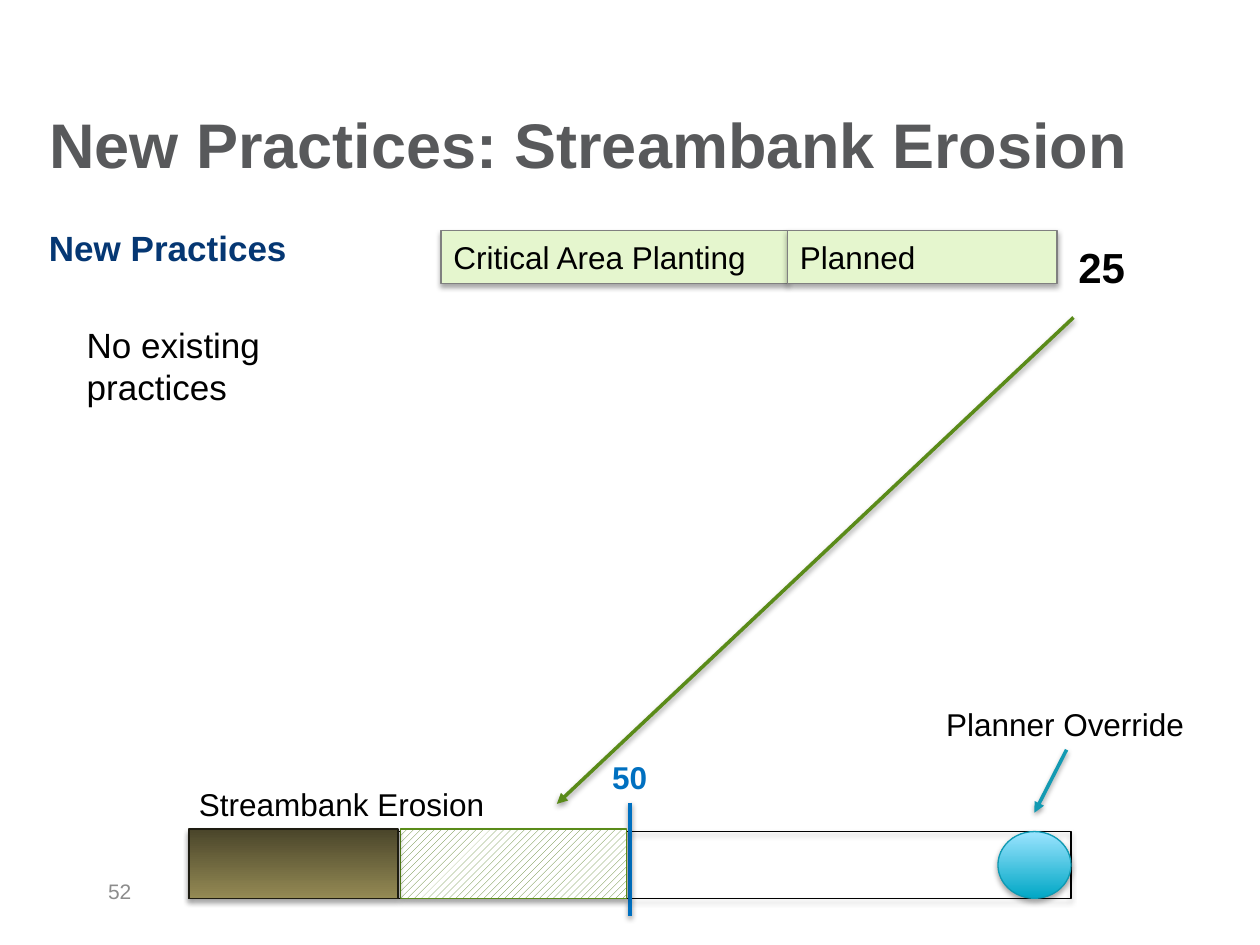
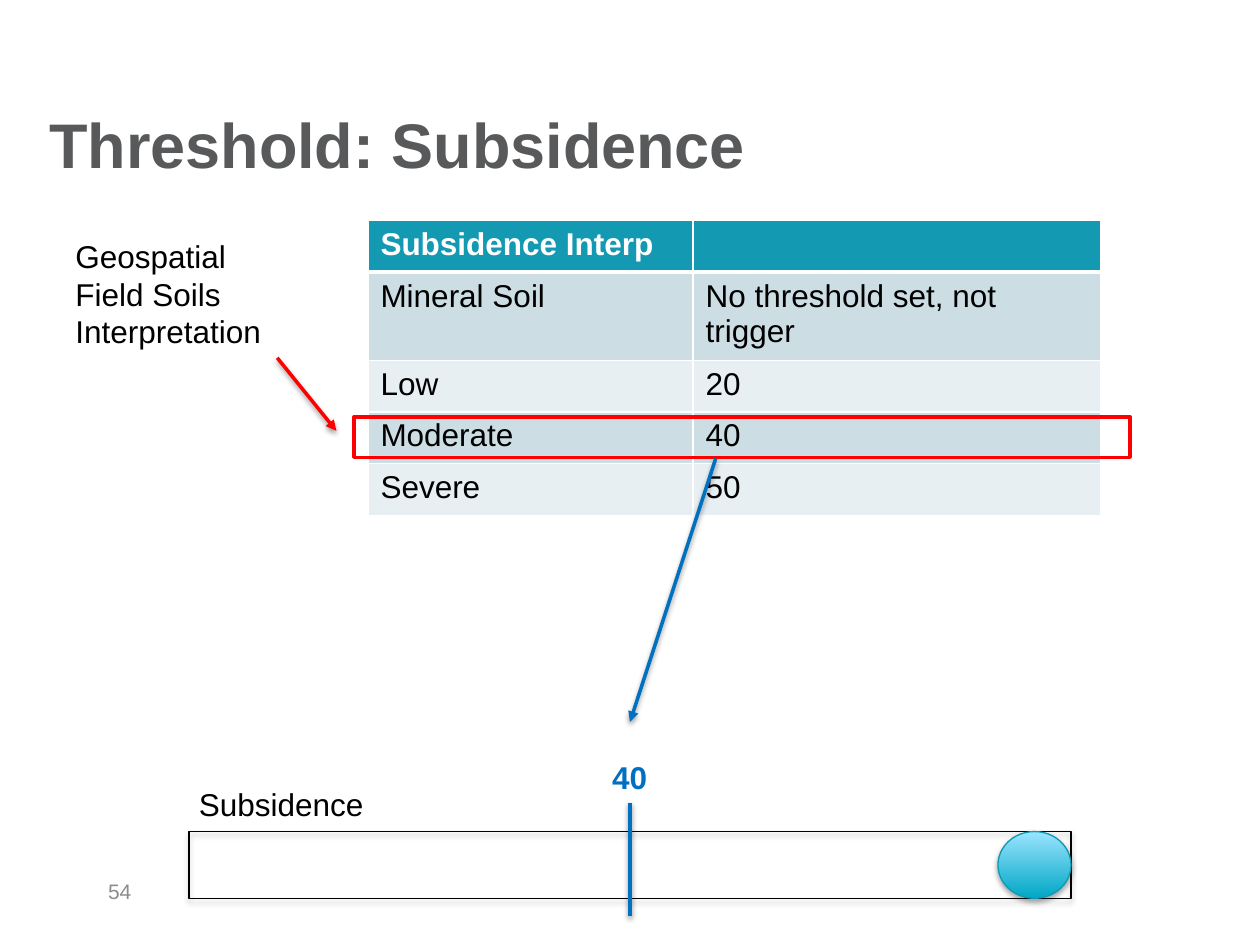
"""Build two slides on conservation thresholds and practices."""
from pptx import Presentation
from pptx.dml.color import RGBColor
from pptx.enum.dml import MSO_PATTERN
from pptx.enum.shapes import MSO_CONNECTOR, MSO_SHAPE
from pptx.enum.text import MSO_ANCHOR, MSO_AUTO_SIZE, PP_ALIGN
from pptx.oxml import parse_xml
from pptx.oxml.ns import nsdecls, qn
from pptx.util import Inches, Pt

RECT, OVAL = MSO_SHAPE.RECTANGLE, MSO_SHAPE.OVAL
LINE = MSO_CONNECTOR.STRAIGHT
HATCH = MSO_PATTERN.WIDE_UPWARD_DIAGONAL
LEFT, MIDDLE = PP_ALIGN.LEFT, MSO_ANCHOR.MIDDLE
GROW = MSO_AUTO_SIZE.SHAPE_TO_FIT_TEXT
FONT = "Arial"
BOTTOM = 2

COLORS = {
    "title": "58595B", "navy": "053773", "black": "000000", "white": "FFFFFF",
    "number": "8C8C8C", "gray": "808080", "lime": "E5F6CE", "green": "5A8B19",
    "hatch": "567F25", "blue": "0070C0", "red": "FF0000", "teal": "139AB2",
    "rim": "0F99B2", "aqua": "00A7C5", "sky": "9BE4FF", "tan": "948A54",
    "brown": "4A452A", "bark": "1E1C11", "band": "CCDEE4", "pale": "E7EFF2",
}


def rgb(name):
    return RGBColor.from_string(COLORS[name])


def write(frame, text, size=18, color="black", bold=False):
    para = frame.paragraphs[0]
    para.alignment = LEFT
    run = para.add_run()
    run.text = text
    font = run.font
    font.name, font.size, font.bold = FONT, Pt(size), bold
    font.color.rgb = rgb(color)


def place(shape, at):
    shape.left, shape.top, shape.width, shape.height = map(Inches, at)


def label(slide, at, text, size=18, color="black", bold=False, wrap=False):
    shape = slide.shapes.add_textbox(*map(Inches, at))
    frame = shape.text_frame
    frame.word_wrap = wrap
    frame.auto_size = GROW
    write(frame, text, size, color, bold)
    return shape


def shadow(shape, alpha, dist):
    shape.element.spPr.append(parse_xml(
        f'<a:effectLst {nsdecls("a")}><a:outerShdw blurRad="{Pt(3.1)}" '
        f'dist="{Pt(dist)}" dir="5400000" rotWithShape="0">'
        f'<a:srgbClr val="{COLORS["black"]}"><a:alpha val="{alpha * 1000}"/>'
        '</a:srgbClr></a:outerShdw></a:effectLst>'))


def block(slide, at, line, fill=None, text="", kind=RECT, width=0.75, cast=True):
    shape = slide.shapes.add_shape(kind, *map(Inches, at))
    if fill:
        shape.fill.solid()
        shape.fill.fore_color.rgb = rgb(fill)
    else:
        shape.fill.background()
    shape.line.color.rgb = rgb(line)
    shape.line.width = Pt(width)
    if cast:
        shadow(shape, 35, 1.8)
    else:
        shape.shadow.inherit = False
    if text:
        shape.text_frame.vertical_anchor = MIDDLE
        write(shape.text_frame, text)
    return shape


def shade(shape, low, high):
    shape.fill.gradient()
    shape.fill.gradient_angle = 90
    for stop, name in zip(shape.fill.gradient_stops, (low, high)):
        stop.color.rgb = rgb(name)


def link(slide, start, end, color, width=2, head=True, source=None):
    line = slide.shapes.add_connector(LINE, *map(Inches, start + end))
    line.line.color.rgb = rgb(color)
    line.line.width = Pt(width)
    if head:
        line.element.spPr.find(qn("a:ln")).append(
            parse_xml(f'<a:tailEnd {nsdecls("a")} type="triangle"/>'))
    shadow(line, 38, 1.6)
    if source:
        line.begin_connect(source, BOTTOM)


def gauge(slide, name, width, limit):
    block(slide, (1.5, 6.6, 7, 0.53), "black")
    label(slide, (1.48, 6.18, width, 0.4), name)
    mark = label(slide, (4.76, 5.97, 0.48, 0.4), limit, color="blue", bold=True)
    link(slide, (5, 6.38), (5, 7.27), "blue", 2.5, head=False, source=mark)
    knob = block(slide, (7.92, 6.6, 0.58, 0.53), "rim", kind=OVAL)
    shade(knob, "aqua", "sky")


def start(deck, title, number):
    slide = deck.slides.add_slide(deck.slide_layouts[5])
    head = slide.shapes.title
    place(head, (0.29, 0.62, 9, 1.03))
    head.text_frame.vertical_anchor = MIDDLE
    write(head.text_frame, title, 36, "title", True)
    foot = label(slide, (0.76, 6.87, 2.33, 0.4), number, 12, "number", wrap=True)
    foot.text_frame.auto_size = MSO_AUTO_SIZE.NONE
    foot.text_frame.vertical_anchor = MIDDLE
    return slide


def border(cell, row):
    widths = {"L": 1, "R": 1, "T": 3 if row == 1 else 1, "B": 3 if row == 0 else 1}
    props = cell._tc.get_or_add_tcPr()
    for side, width in widths.items():
        props.append(parse_xml(
            f'<a:ln{side} {nsdecls("a")} w="{Pt(width)}"><a:solidFill>'
            f'<a:srgbClr val="{COLORS["white"]}"/></a:solidFill></a:ln{side}>'))


def grid(slide, at, cols, rows):
    table = slide.shapes.add_table(len(rows), len(cols), *map(Inches, at)).table
    for col, width in zip(table.columns, cols):
        col.width = Inches(width)
    for i, row in enumerate(rows):
        fill = "teal" if i == 0 else "band" if i % 2 else "pale"
        for j, text in enumerate(row):
            cell = table.cell(i, j)
            border(cell, i)
            cell.fill.solid()
            cell.fill.fore_color.rgb = rgb(fill)
            if text:
                write(cell.text_frame, text, 18, "black" if i else "white", i == 0)


def erosion(deck):
    slide = start(deck, "New Practices: Streambank Erosion", "52")
    label(slide, (0.29, 1.75, 8.46, 0.43), "New Practices", 20, "navy", True, True)
    block(slide, (3.5, 1.83, 2.75, 0.42), "gray", "lime", "Critical Area Planting")
    block(slide, (6.25, 1.83, 2.14, 0.42), "gray", "lime", "Planned")
    label(slide, (8.46, 1.87, 0.58, 0.5), "25", 24, bold=True)
    label(slide, (0.59, 2.52, 2.33, 0.77), "No existing practices", 20, wrap=True)
    gauge(slide, "Streambank Erosion", 2.49, "50")
    link(slide, (8.52, 2.52), (4.42, 6.38), "green")
    gain = block(slide, (3.18, 6.58, 1.79, 0.55), "green")
    gain.fill.patterned()
    gain.fill.pattern = HATCH
    gain.fill.fore_color.rgb = rgb("hatch")
    gain.fill.back_color.rgb = rgb("white")
    base = block(slide, (1.5, 6.58, 1.66, 0.55), "bark")
    shade(base, "tan", "brown")
    note = label(slide, (7.41, 5.55, 2.11, 0.4), "Planner Override")
    link(slide, (8.46, 5.96), (8.21, 6.45), "teal", source=note)


def sinking(deck):
    slide = start(deck, "Threshold: Subsidence", "54")
    label(slide, (0.5, 1.83, 1.97, 1.01), "Geospatial Field Soils Interpretation",
          wrap=True)
    link(slide, (2.2, 2.84), (2.67, 3.42), "red")
    gauge(slide, "Subsidence", 1.52, "40")
    grid(slide, (2.92, 1.75, 5.82, 2.05), (2.58, 3.24), [
        ("Subsidence Interp", ""),
        ("Mineral Soil", "No threshold set, not trigger"),
        ("Low", "20"),
        ("Moderate", "40"),
        ("Severe", "50"),
    ])
    block(slide, (2.81, 3.31, 6.16, 0.32), "red", width=2, cast=False)
    link(slide, (5.68, 3.64), (5, 5.73), "blue")


def main():
    deck = Presentation()
    deck.slide_width, deck.slide_height = Inches(10), Inches(7.5)
    erosion(deck)
    sinking(deck)
    deck.save("out.pptx")


if __name__ == "__main__":
    main()
